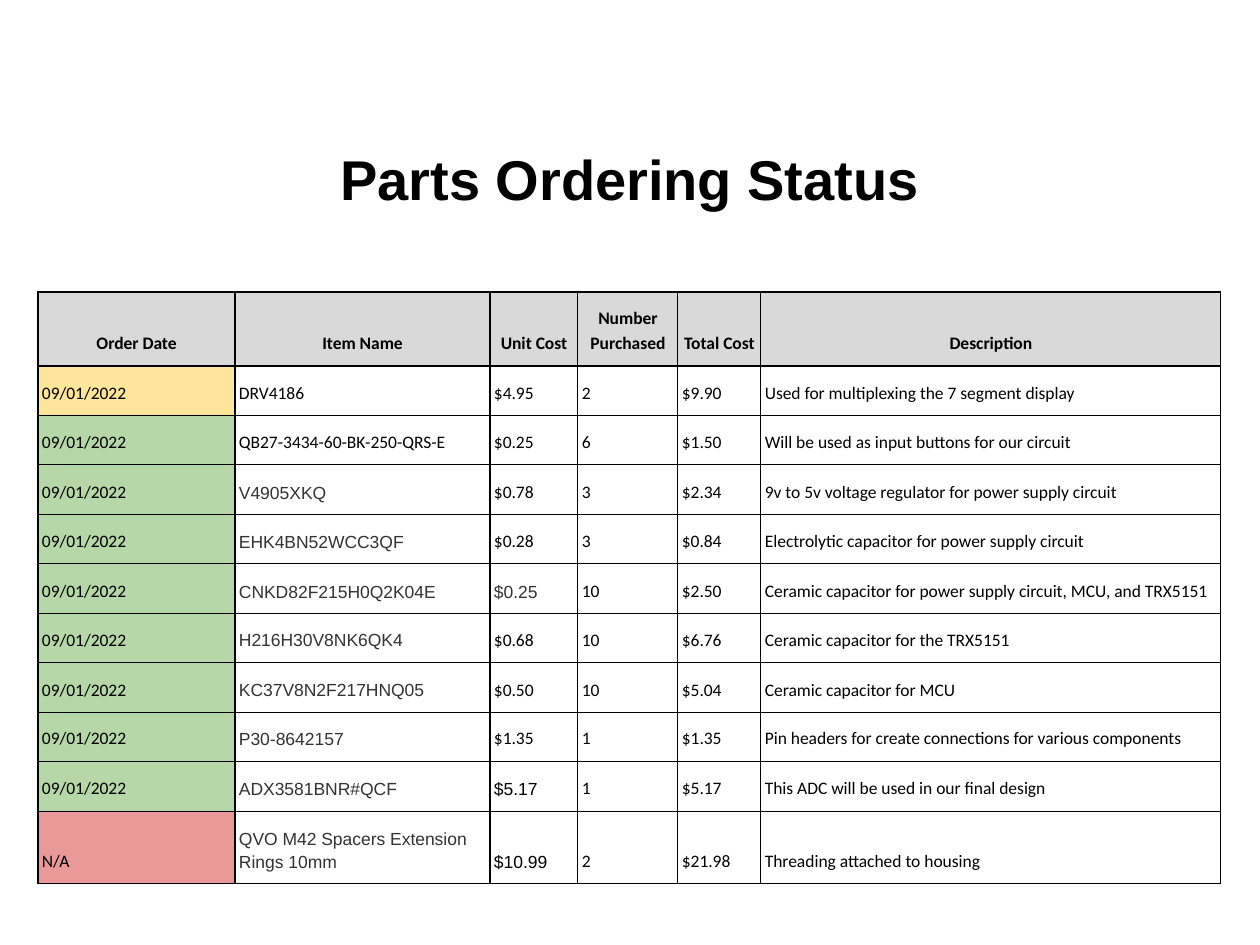
"""Builds the Parts Ordering Status slide: a title above a parts table."""
from lxml.etree import SubElement
from pptx import Presentation
from pptx.dml.color import RGBColor
from pptx.enum.text import MSO_ANCHOR as Anchor, PP_ALIGN as Align
from pptx.oxml.ns import qn
from pptx.util import Pt

PX = 914400 // 126
BLACK = RGBColor(0x00, 0x00, 0x00)
DARK_GRAY = RGBColor(0x33, 0x33, 0x33)
WHITE = RGBColor(0xFF, 0xFF, 0xFF)
HEADER_GRAY = RGBColor(0xD9, 0xD9, 0xD9)
YELLOW = RGBColor(0xFF, 0xE5, 0x99)
GREEN = RGBColor(0xB6, 0xD7, 0xA8)
RED = RGBColor(0xEA, 0x99, 0x99)

TITLE = "Parts Ordering Status"
HEADINGS = ("Order Date", "Item Name", "Unit Cost", "Number Purchased", "Total Cost", "Description")
ORDERED = "09/01/2022"
PARTS = [
    (ORDERED, "DRV4186", "$4.95", "2", "$9.90", "Used for multiplexing the 7 segment display"),
    (ORDERED, "QB27-3434-60-BK-250-QRS-E", "$0.25", "6", "$1.50", "Will be used as input buttons for our circuit"),
    (ORDERED, "V4905XKQ", "$0.78", "3", "$2.34", "9v to 5v voltage regulator for power supply circuit"),
    (ORDERED, "EHK4BN52WCC3QF", "$0.28", "3", "$0.84", "Electrolytic capacitor for power supply circuit"),
    (ORDERED, "CNKD82F215H0Q2K04E", "$0.25", "10", "$2.50",
     "Ceramic capacitor for power supply circuit, MCU, and TRX5151"),
    (ORDERED, "H216H30V8NK6QK4", "$0.68", "10", "$6.76", "Ceramic capacitor for the TRX5151"),
    (ORDERED, "KC37V8N2F217HNQ05", "$0.50", "10", "$5.04", "Ceramic capacitor for MCU"),
    (ORDERED, "P30-8642157", "$1.35", "1", "$1.35", "Pin headers for create connections for various components"),
    (ORDERED, "ADX3581BNR#QCF", "$5.17", "1", "$5.17", "This ADC will be used in our final design"),
    ("N/A", "QVO M42 Spacers Extension Rings 10mm", "$10.99", "2", "$21.98", "Threading attached to housing"),
]
STATUS_FILLS = [YELLOW] + [GREEN] * 8 + [RED]
ARIAL_GRAY = {"font": "Arial", "color": DARK_GRAY}
SPECIAL_FORMATS = {(row, 1): ARIAL_GRAY for row in range(3, 11)}
SPECIAL_FORMATS |= {(5, 2): ARIAL_GRAY, (9, 2): {"font": "Arial"}, (10, 2): {"font": "Arial"}}

TABLE_LEFT, TABLE_TOP = 38, 292
COLUMN_WIDTHS = (197, 255, 88, 100, 83, 460)
HEADER_HEIGHT, SINGLE_LINE_HEIGHT, LAST_HEIGHT = 74, 446, 70
SINGLE_LINES = len(PARTS) - 1
EDGES = [round(SINGLE_LINE_HEIGHT * i / SINGLE_LINES) for i in range(SINGLE_LINES + 1)]
ROW_HEIGHTS = [HEADER_HEIGHT, *(b - a for a, b in zip(EDGES, EDGES[1:])), LAST_HEIGHT]


def write(frame, text, *, font="Calibri", size=10, color=BLACK, bold=False, align=Align.LEFT, spacing=1.15):
    paragraph = frame.paragraphs[0]
    paragraph.alignment = align
    paragraph.line_spacing = spacing
    run = paragraph.add_run()
    run.text = text
    run.font.name = font
    run.font.size = Pt(size)
    run.font.color.rgb = color
    run.font.bold = bold


def add_borders(cell):
    properties = cell._tc.get_or_add_tcPr()
    for position, side in enumerate(("lnL", "lnR", "lnT", "lnB")):
        border = SubElement(properties, qn(f"a:{side}"), w=str(Pt(0.75)))
        fill = SubElement(border, qn("a:solidFill"))
        SubElement(fill, qn("a:srgbClr"), val=str(BLACK))
        properties.insert(position, border)


def format_cell(cell, fill):
    cell.margin_left = cell.margin_right = 4 * PX
    cell.margin_top = cell.margin_bottom = 12 * PX
    cell.vertical_anchor = Anchor.BOTTOM
    cell.fill.solid()
    cell.fill.fore_color.rgb = fill
    add_borders(cell)


def add_title(slide):
    title = slide.shapes.add_textbox(63 * PX, 123 * PX, 1134 * PX, 111 * PX)
    title.text_frame.word_wrap = True
    title.text_frame.vertical_anchor = Anchor.MIDDLE
    write(title.text_frame, TITLE, font="Arial", size=32, bold=True, align=Align.CENTER, spacing=1.0)


def add_parts(slide):
    parts = slide.shapes.add_table(
        len(ROW_HEIGHTS), len(COLUMN_WIDTHS), TABLE_LEFT * PX, TABLE_TOP * PX,
        sum(COLUMN_WIDTHS) * PX, sum(ROW_HEIGHTS) * PX).table
    parts.first_row = parts.horz_banding = False
    for column, width in zip(parts.columns, COLUMN_WIDTHS):
        column.width = width * PX
    for row, height in zip(parts.rows, ROW_HEIGHTS):
        row.height = height * PX
    for r, values in enumerate([HEADINGS, *PARTS]):
        for c, value in enumerate(values):
            cell = parts.cell(r, c)
            if r == 0:
                fill, style = HEADER_GRAY, {"bold": True, "align": Align.CENTER}
            else:
                fill = STATUS_FILLS[r - 1] if c == 0 else WHITE
                style = SPECIAL_FORMATS.get((r, c), {})
            format_cell(cell, fill)
            write(cell.text_frame, value, **style)


def main():
    deck = Presentation()
    deck.slide_width, deck.slide_height = 1260 * PX, 945 * PX
    slide = deck.slides.add_slide(deck.slide_layouts[6])
    add_title(slide)
    add_parts(slide)
    deck.save("out.pptx")


if __name__ == "__main__":
    main()
